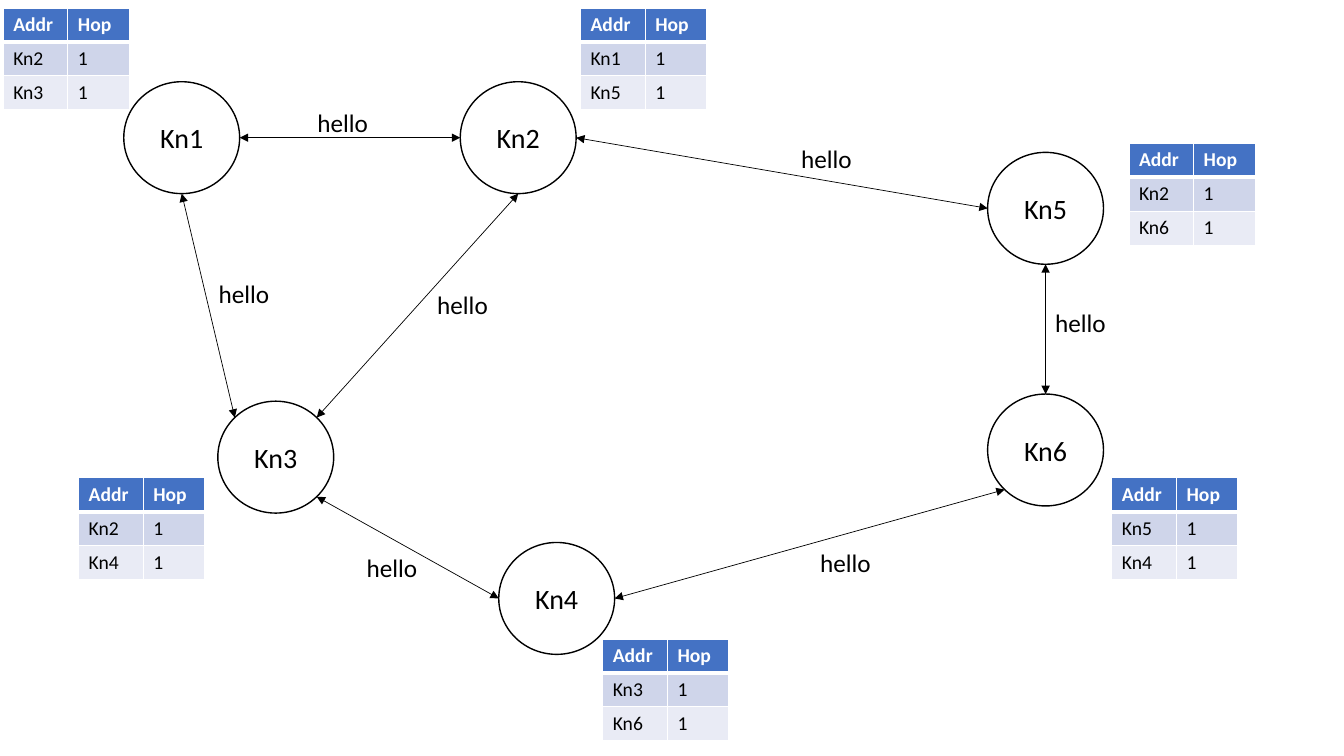
import math
import pptx
import pptx.util
import pptx.dml.color
import pptx.enum.shapes
import pptx.enum.text
import pptx.oxml
import pptx.oxml.ns
import lxml.etree

Cm, Pt = pptx.util.Cm, pptx.util.Pt
qn = pptx.oxml.ns.qn
COLORS = {"black": "000000", "white": "FFFFFF", "header": "4472C4",
          "band1": "CFD5EA", "band2": "E9EBF5"}
ROW_FILLS = ["header", "band1", "band2"]
NODE_W, NODE_H = 2.92, 2.82
COL_WIDTHS = [1.63, 1.55]
ROW_H = 0.85

NODES = {
    "Kn1": (3.12, 2.06),
    "Kn2": (11.6, 2.06),
    "Kn3": (5.49, 10.11),
    "Kn4": (12.57, 13.67),
    "Kn5": (24.89, 3.84),
    "Kn6": (24.89, 9.93),
}
ROUTES = [
    (0.08, 0.2, ["Kn2", "Kn3"]),
    (14.63, 0.2, ["Kn1", "Kn5"]),
    (1.98, 12.04, ["Kn2", "Kn4"]),
    (15.19, 16.1, ["Kn3", "Kn6"]),
    (28.45, 3.61, ["Kn2", "Kn6"]),
    (28.02, 12.04, ["Kn5", "Kn4"]),
]
TOP, TOP_LEFT, LEFT, BOTTOM_LEFT, BOTTOM, BOTTOM_RIGHT, RIGHT, TOP_RIGHT = range(8)
LINKS = [
    ("Kn1", RIGHT, "Kn2", LEFT, (7.75, 2.57)),
    ("Kn2", RIGHT, "Kn5", LEFT, (19.94, 3.48)),
    ("Kn6", TOP, "Kn5", BOTTOM, (26.34, 7.62)),
    ("Kn4", RIGHT, "Kn6", BOTTOM_LEFT, (20.42, 13.67)),
    ("Kn3", BOTTOM_RIGHT, "Kn4", LEFT, (8.99, 13.79)),
    ("Kn2", BOTTOM, "Kn3", TOP_RIGHT, (10.77, 7.16)),
    ("Kn1", BOTTOM, "Kn3", TOP_LEFT, (5.26, 6.88)),
]


def add_run(p, text, size, color="black", bold=False):
    r = p.add_run()
    r.text = text
    r.font.name = "Calibri"
    r.font.size = Pt(size)
    r.font.bold = bold
    r.font.color.rgb = pptx.dml.color.RGBColor.from_string(COLORS[color])


def site_point(name, site):
    x, y = NODES[name]
    angle = math.radians(90 + 45 * site)
    return (Cm(x + NODE_W / 2 * (1 + math.cos(angle))),
            Cm(y + NODE_H / 2 * (1 - math.sin(angle))))


prs = pptx.Presentation()
prs.slide_width, prs.slide_height = Cm(33.87), Cm(19.05)
s = prs.slides.add_slide(prs.slide_layouts[6])

for x, y, neighbours in ROUTES:
    rows = [("Addr", "Hop")] + [(name, "1") for name in neighbours]
    table = s.shapes.add_table(len(rows), 2, Cm(x), Cm(y), Cm(sum(COL_WIDTHS)),
                               Cm(ROW_H * len(rows))).table
    for col, width in zip(table.columns, COL_WIDTHS):
        col.width = Cm(width)
    for i, row in enumerate(rows):
        table.rows[i].height = Cm(ROW_H)
        for j, text in enumerate(row):
            cell = table.cell(i, j)
            tcPr = cell._tc.get_or_add_tcPr()
            for side in ("lnL", "lnR", "lnT", "lnB"):
                thick = (i, side) in [(0, "lnB"), (1, "lnT")]
                ln = lxml.etree.SubElement(tcPr, qn("a:" + side), w=str(Pt(3 if thick else 1)))
                fill = lxml.etree.SubElement(ln, qn("a:solidFill"))
                lxml.etree.SubElement(fill, qn("a:srgbClr"), val=COLORS["white"])
            cell.fill.solid()
            cell.fill.fore_color.rgb = pptx.dml.color.RGBColor.from_string(COLORS[ROW_FILLS[i]])
            add_run(cell.text_frame.paragraphs[0], text, 14,
                    "white" if i == 0 else "black", i == 0)

circles = {}
for name, (x, y) in NODES.items():
    sp = s.shapes.add_shape(pptx.enum.shapes.MSO_SHAPE.OVAL,
                            Cm(x), Cm(y), Cm(NODE_W), Cm(NODE_H))
    sp.shadow.inherit = False
    sp.fill.background()
    sp.line.color.rgb = pptx.dml.color.RGBColor.from_string(COLORS["black"])
    sp.line.width = Pt(1)
    tf = sp.text_frame
    tf.vertical_anchor = pptx.enum.text.MSO_ANCHOR.MIDDLE
    p = tf.paragraphs[0]
    p.alignment = pptx.enum.text.PP_ALIGN.CENTER
    add_run(p, name, 20)
    circles[name] = sp

for start, start_site, end, end_site, (x, y) in LINKS:
    link = s.shapes.add_connector(pptx.enum.shapes.MSO_CONNECTOR.STRAIGHT,
                                  *site_point(start, start_site), *site_point(end, end_site))
    link.line.color.rgb = pptx.dml.color.RGBColor.from_string(COLORS["black"])
    link.line.width = Pt(0.5)
    ln = link.line._get_or_add_ln()
    for tag in ("a:headEnd", "a:tailEnd"):
        lxml.etree.SubElement(ln, qn(tag), type="triangle")
    lxml.etree.SubElement(link._element.spPr, qn("a:effectLst"))
    glue = link._element.find(".//" + qn("p:cNvCxnSpPr"))
    for tag, name, site in (("a:stCxn", start, start_site), ("a:endCxn", end, end_site)):
        lxml.etree.SubElement(glue, qn(tag), id=str(circles[name].shape_id), idx=str(site))

    tf = s.shapes.add_textbox(Cm(x), Cm(y), Cm(1.8), Cm(1.02)).text_frame
    tf.word_wrap = False
    add_run(tf.paragraphs[0], "hello", 18)

prs.save("out.pptx")
